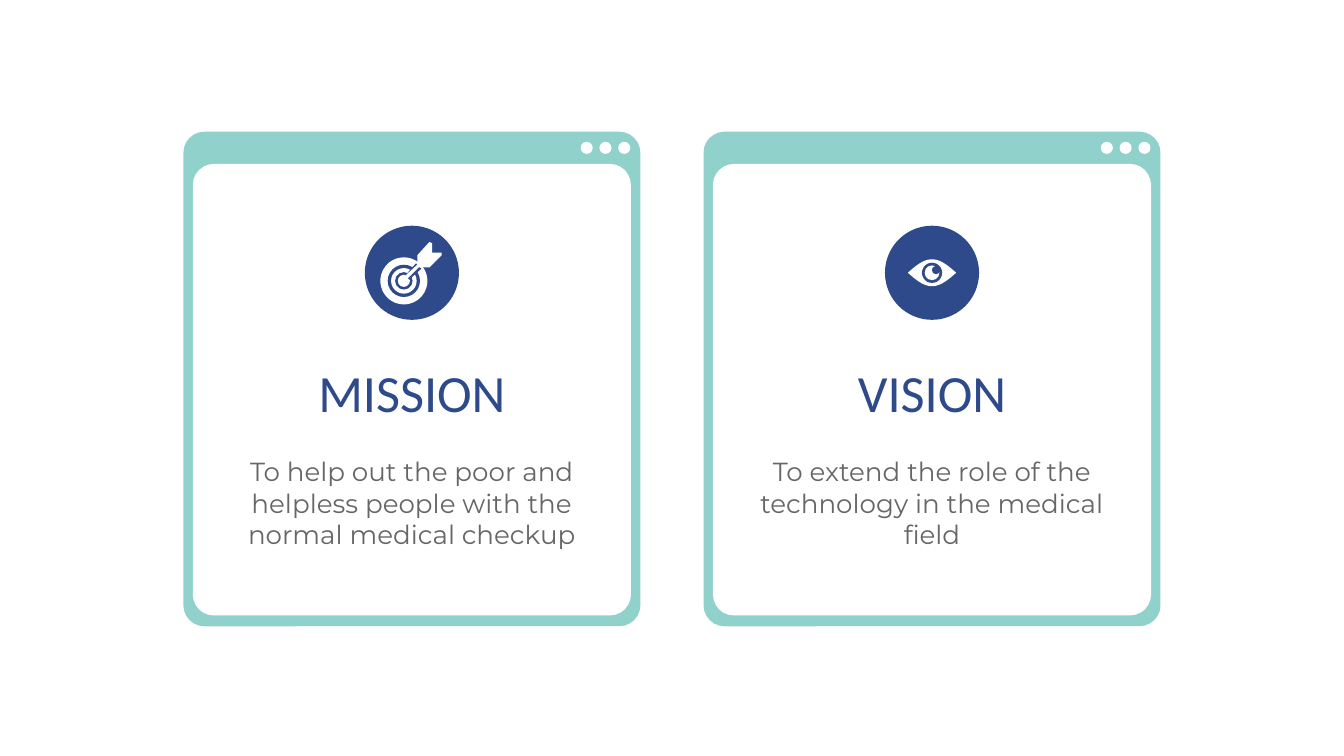
import math

from pptx import Presentation
from pptx.dml.color import RGBColor
from pptx.enum.shapes import MSO_SHAPE
from pptx.enum.text import MSO_ANCHOR, MSO_AUTO_SIZE, PP_ALIGN
from pptx.util import Inches, Pt

ROUNDED = MSO_SHAPE.ROUNDED_RECTANGLE
OVAL = MSO_SHAPE.OVAL
TOP = MSO_ANCHOR.TOP
NO_FIT = MSO_AUTO_SIZE.NONE
CENTER = PP_ALIGN.CENTER
TITLE_ONLY = 5


def color(value):
    return RGBColor.from_string(value)


class SlideBuilder:
    teal = "90D1CB"
    navy = "2F4A8A"
    white = "FFFFFF"
    gray = "666666"
    heading_font = "Calibri"
    body_font = "Montserrat"

    def __init__(self, page):
        self.page = page

    def paint(self, shape, fill):
        shape.shadow.inherit = False
        shape.fill.solid()
        shape.fill.fore_color.rgb = color(fill)
        shape.line.fill.background()

    def rounded(self, left, top, width, height, radius, fill):
        shape = self.page.shapes.add_shape(
            ROUNDED, Inches(left), Inches(top), Inches(width), Inches(height))
        shape.adjustments[0] = radius
        self.paint(shape, fill)

    def circle(self, center_x, center_y, size, fill):
        shape = self.page.shapes.add_shape(
            OVAL, Inches(center_x - size / 2), Inches(center_y - size / 2),
            Inches(size), Inches(size))
        self.paint(shape, fill)

    def outline(self, points, fill):
        corners = [(Inches(x), Inches(y)) for x, y in points]
        builder = self.page.shapes.build_freeform(*corners[0])
        builder.add_line_segments(corners[1:], close=True)
        self.paint(builder.convert_to_shape(), fill)

    def window(self, left):
        self.rounded(left, 0.98, 3.4, 3.68, 0.046, self.teal)
        self.rounded(left + 0.07, 1.22, 3.26, 3.36, 0.048, self.white)
        for index in range(3):
            self.circle(left + 3.28 - 0.14 * index, 1.1, 0.09, self.white)
        self.circle(left + 1.7, 2.03, 0.7, self.navy)

    def target(self, center_x):
        rings = [(0.35, self.white), (0.24, self.navy), (0.19, self.white),
                 (0.13, self.navy), (0.09, self.white)]
        for size, fill in rings:
            self.circle(center_x - 0.06, 2.09, size, fill)
        gap = [(-0.05, 2.05), (0.03, 1.96), (0.07, 2.0), (-0.02, 2.08)]
        arrow = [(-0.07, 2.07), (0.04, 1.97), (0.04, 1.9), (0.13, 1.8),
                 (0.15, 1.81), (0.15, 1.88), (0.22, 1.88), (0.22, 1.9),
                 (0.13, 1.99), (0.05, 1.99), (-0.04, 2.08)]
        for points, fill in ((gap, self.navy), (arrow, self.white)):
            self.outline([(center_x + x, y) for x, y in points], fill)

    def eye(self, center_x):
        steps = range(-12, 12)
        upper = [(step / 12, -math.cos(math.pi * step / 24)) for step in steps]
        lids = upper + [(-x, -y) for x, y in upper]
        self.outline([(center_x + 0.18 * x, 2.03 + 0.1 * y) for x, y in lids],
                     self.white)
        self.circle(center_x, 2.03, 0.15, self.navy)
        self.circle(center_x, 2.03, 0.11, self.white)
        self.circle(center_x + 0.03, 2.01, 0.06, self.navy)

    def text(self, box, words, left, top, height, font, size, ink):
        box.left, box.top = Inches(left), Inches(top)
        box.width, box.height = Inches(2.8), Inches(height)
        frame = box.text_frame
        frame.text = words
        frame.word_wrap = True
        frame.auto_size = NO_FIT
        frame.vertical_anchor = TOP
        frame.margin_left = frame.margin_right = Inches(0.1)
        frame.margin_top = frame.margin_bottom = Inches(0.1)
        paragraph = frame.paragraphs[0]
        paragraph.alignment = CENTER
        for span in paragraph.runs:
            span.font.name = font
            span.font.size = Pt(size)
            span.font.color.rgb = color(ink)

    def text_box(self):
        return self.page.shapes.add_textbox(0, 0, Inches(1), Inches(1))

    def title_in_front(self):
        title = self.page.shapes.title
        title.element.getparent().append(title.element)
        return title

    def card(self, left, heading, body, icon, is_title):
        self.window(left)
        icon(left + 1.7)
        heading_box = self.title_in_front() if is_title else self.text_box()
        self.text(heading_box, heading, left + 0.3, 2.58, 0.51,
                  self.heading_font, 28, self.navy)
        self.text(self.text_box(), body, left + 0.3, 3.29, 0.96,
                  self.body_font, 14, self.gray)


def main():
    deck = Presentation()
    deck.slide_width = Inches(10)
    deck.slide_height = Inches(45 / 8)
    page = deck.slides.add_slide(deck.slide_layouts[TITLE_ONLY])
    builder = SlideBuilder(page)
    cards = [
        ("MISSION",
         "To help out the poor and helpless people with the normal medical checkup",
         builder.target),
        ("VISION",
         "To extend the role of the technology in the medical field",
         builder.eye),
    ]
    for index, (heading, body, icon) in enumerate(cards):
        builder.card(1.365 + 3.87 * index, heading, body, icon, index == 0)
    deck.save("out.pptx")


if __name__ == "__main__":
    main()
